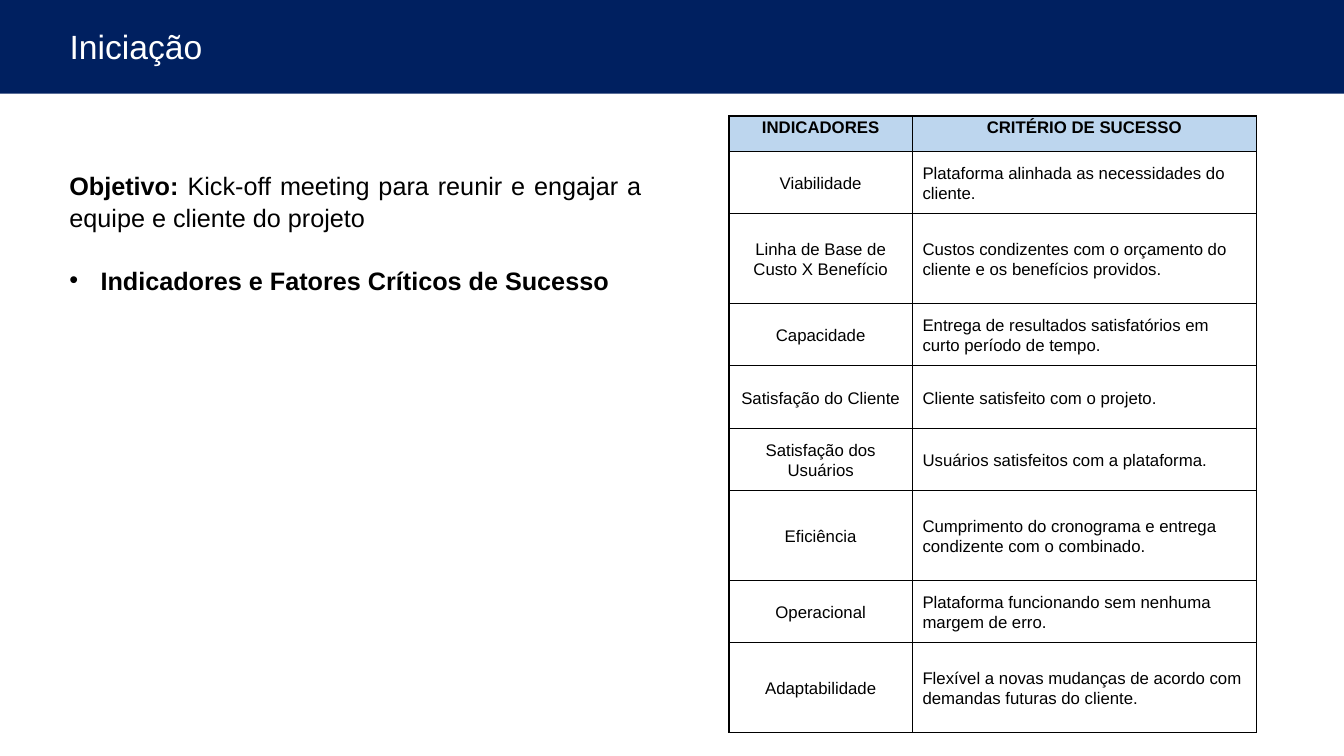
from dataclasses import dataclass

from lxml.etree import SubElement
from pptx import Presentation
from pptx.dml.color import RGBColor
from pptx.enum.shapes import MSO_SHAPE as Preset
from pptx.enum.text import MSO_ANCHOR as Anchor, MSO_AUTO_SIZE as AutoSize, PP_ALIGN as Align
from pptx.oxml.ns import qn
from pptx.util import Inches, Pt


@dataclass(frozen=True)
class Theme:
    font: str = "Arial"
    band: str = "002060"
    header: str = "BDD6EE"
    ink: str = "000000"
    paper: str = "FFFFFF"
    title_size: int = 24
    body_size: int = 18
    table_size: int = 12


THEME = Theme()

CRITERIA = [
    ("INDICADORES", "CRITÉRIO DE SUCESSO"),
    ("Viabilidade", "Plataforma alinhada as necessidades do cliente."),
    ("Linha de Base de Custo X Benefício",
     "Custos condizentes com o orçamento do cliente e os benefícios providos."),
    ("Capacidade", "Entrega de resultados satisfatórios em curto período de tempo."),
    ("Satisfação do Cliente", "Cliente satisfeito com o projeto."),
    ("Satisfação dos Usuários", "Usuários satisfeitos com a plataforma."),
    ("Eficiência", "Cumprimento do cronograma e entrega condizente com o combinado."),
    ("Operacional", "Plataforma funcionando sem nenhuma margem de erro."),
    ("Adaptabilidade",
     "Flexível a novas mudanças de acordo com demandas futuras do cliente."),
]
HEADER_HEIGHT, ROW_HEIGHT, TALL_HEIGHT = 0.35, 0.62, 0.89
TALL_ROWS = {2, 6, 8}
COLUMN_WIDTHS = (1.82, 3.41)


def rgb(color):
    return RGBColor.from_string(color)


def inches(box):
    return [Inches(length) for length in box]


def write(para, text, size, color=THEME.ink, bold=False, align=Align.LEFT, spacing=None):
    """Add a formatted span to a paragraph."""
    para.alignment = align
    if spacing:
        para.line_spacing = spacing
    span = para.add_run()
    span.text = text
    span.font.name, span.font.size, span.font.bold = THEME.font, Pt(size), bold
    span.font.color.rgb = rgb(color)


def add_bullet(para, indent):
    props = para._p.get_or_add_pPr()
    props.set("marL", str(Inches(indent)))
    props.set("indent", str(-Inches(indent)))
    SubElement(props, qn("a:buFont"), typeface=THEME.font)
    SubElement(props, qn("a:buChar"), char="•")


def add_borders(cell, color, width):
    props = cell._tc.get_or_add_tcPr()
    for position, side in enumerate(("lnL", "lnR", "lnT", "lnB")):
        line = props.makeelement(qn(f"a:{side}"), {"w": str(Pt(width))})
        fill = SubElement(line, qn("a:solidFill"))
        SubElement(fill, qn("a:srgbClr"), val=color)
        props.insert(position, line)


def add_title_band(page, band_box, title_box, text):
    band = page.shapes.add_shape(Preset.RECTANGLE, *inches(band_box))
    band.shadow.inherit = False
    band.fill.solid()
    band.fill.fore_color.rgb = rgb(THEME.band)
    band.line.fill.background()

    # Title placeholder, lifted in front of the band
    title = page.shapes.title
    title.left, title.top, title.width, title.height = inches(title_box)
    band.element.addnext(title.element)
    frame = title.text_frame
    frame.word_wrap, frame.auto_size = False, AutoSize.NONE
    frame.vertical_anchor = Anchor.TOP
    write(frame.paragraphs[0], text, THEME.title_size, color=THEME.paper)


def add_objective(page, box):
    frame = page.shapes.add_textbox(*inches(box)).text_frame
    frame.word_wrap = True
    style = dict(size=THEME.body_size, align=Align.JUSTIFY, spacing=1.05)
    goal = frame.paragraphs[0]
    write(goal, "Objetivo: ", bold=True, **style)
    write(goal, "Kick-off meeting para reunir e engajar a equipe e cliente do projeto", **style)

    # Bulleted topic, one line below
    topic = frame.add_paragraph()
    topic.space_before = Pt(22)
    write(topic, "Indicadores e Fatores Críticos de Sucesso", bold=True, **style)
    add_bullet(topic, 0.31)


def add_criteria_table(page, box):
    table = page.shapes.add_table(len(CRITERIA), len(COLUMN_WIDTHS), *inches(box)).table
    table.horz_banding = False
    for column, width in zip(table.columns, COLUMN_WIDTHS):
        column.width = Inches(width)

    for row_index, texts in enumerate(CRITERIA):
        is_header = row_index == 0
        height = TALL_HEIGHT if row_index in TALL_ROWS else ROW_HEIGHT
        table.rows[row_index].height = Inches(HEADER_HEIGHT if is_header else height)
        for column_index, text in enumerate(texts):
            cell = table.cell(row_index, column_index)
            cell.margin_left = cell.margin_right = Inches(0.1)
            cell.margin_top, cell.margin_bottom = Inches(0.01), 0
            cell.vertical_anchor = Anchor.TOP if is_header else Anchor.MIDDLE
            if is_header:
                cell.fill.solid()
                cell.fill.fore_color.rgb = rgb(THEME.header)
            else:
                cell.fill.background()
            centred = is_header or column_index == 0
            write(cell.text_frame.paragraphs[0], text, THEME.table_size, bold=is_header,
                  align=Align.CENTER if centred else Align.LEFT, spacing=1.07)
            add_borders(cell, THEME.ink, 1)


def build_initiation_page(deck):
    page = deck.slides.add_slide(deck.slide_layouts.get_by_name("Title Only"))
    add_title_band(page, (0, 0, 13.33, 0.93), (0.59, 0.21, 1.53, 0.5), "Iniciação")
    add_objective(page, (0.59, 1.63, 5.87, 1.31))
    add_criteria_table(page, (7.23, 1.15, 5.24, 6.12))


deck = Presentation()
deck.slide_width, deck.slide_height = Inches(13.33), Inches(7.5)
build_initiation_page(deck)
deck.save("out.pptx")
